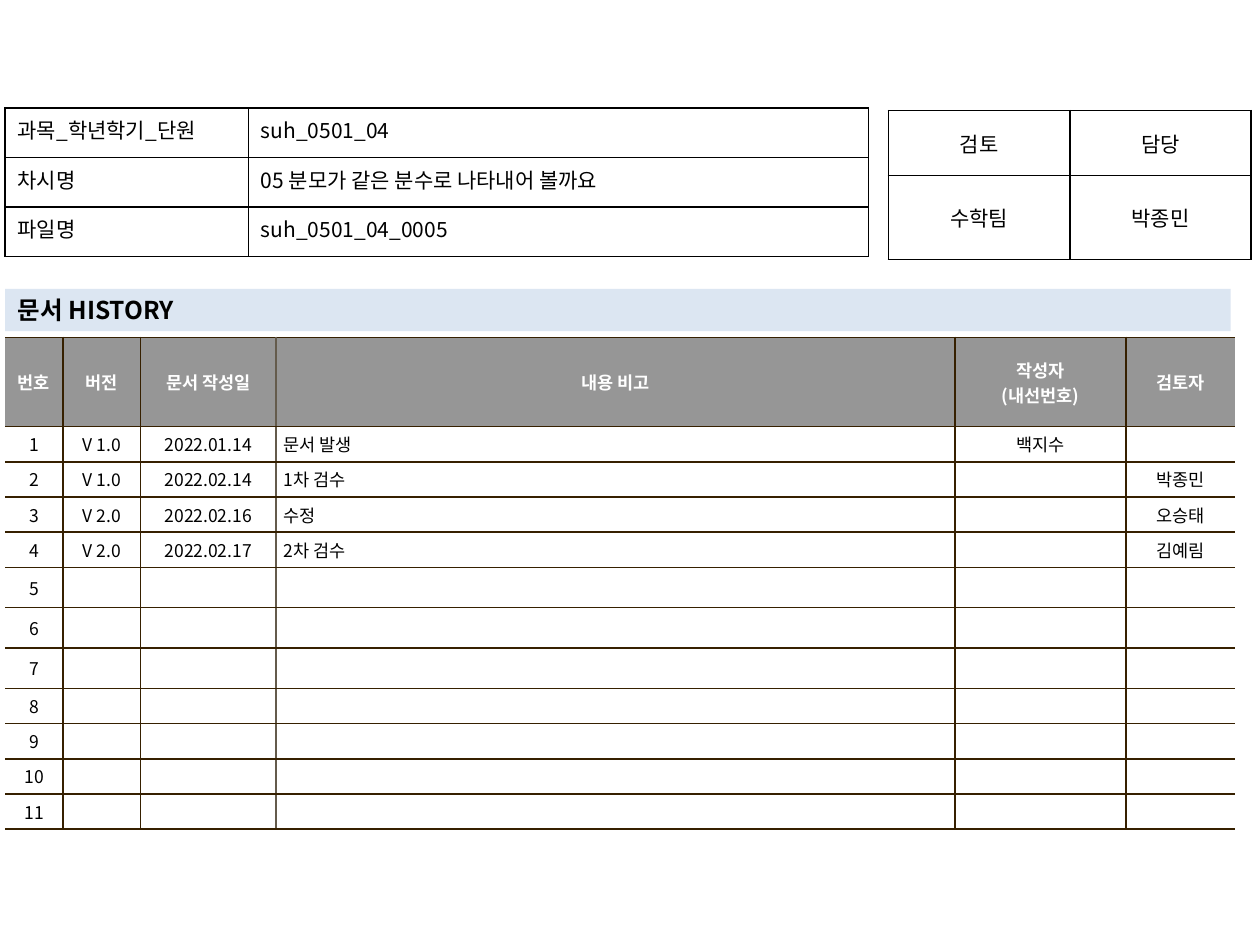
import dataclasses

import lxml.etree
import pptx
import pptx.dml.color
import pptx.enum.text
import pptx.oxml.ns
import pptx.util

Pt = pptx.util.Pt
ALIGN = pptx.enum.text.PP_ALIGN
ANCHOR = pptx.enum.text.MSO_ANCHOR
LEFT, MID, JUST = ALIGN.LEFT, ALIGN.CENTER, ALIGN.JUSTIFY


@dataclasses.dataclass(frozen=True)
class Theme:
    font: str = "Noto Sans CJK KR"
    black: str = "000000"
    white: str = "FFFFFF"
    band: str = "DCE6F2"
    head: str = "969696"
    brown: str = "362000"
    taupe: str = "645B4C"
    small: int = 10
    body: int = 12
    title: int = 14


def add_tag(parent, tag, **attrs):
    return lxml.etree.SubElement(parent, pptx.oxml.ns.qn(tag), **attrs)


def rgb(color):
    return pptx.dml.color.RGBColor.from_string(color)


class Page:
    """Draws on one slide in one theme; lengths are in points."""

    def __init__(self, slide, theme):
        self.slide = slide
        self.theme = theme

    def style(self, para, size, color, bold=False, align=LEFT):
        para.alignment = align
        font = para.font
        font.size, font.bold = Pt(size), bold
        font.color.rgb = rgb(color)
        font.name = self.theme.font
        add_tag(font._element, "a:ea", typeface=self.theme.font)
        if not para.runs:
            add_tag(para._p, "a:endParaRPr", sz=str(size * 100))

    def title(self, text, left, top, width, height):
        shape = self.slide.shapes.title
        shape.left, shape.top = Pt(left), Pt(top)
        shape.width, shape.height = Pt(width), Pt(height)
        shape.fill.solid()
        shape.fill.fore_color.rgb = rgb(self.theme.band)
        frame = shape.text_frame
        frame.text = text
        frame.auto_size = pptx.enum.text.MSO_AUTO_SIZE.NONE
        frame.vertical_anchor = ANCHOR.MIDDLE
        self.style(frame.paragraphs[0], self.theme.title, self.theme.black, True)

    def grid(self, left, top, cols, rows):
        frame = self.slide.shapes.add_table(
            len(rows), len(cols), Pt(left), Pt(top), Pt(sum(cols)), Pt(sum(rows)))
        table = frame.table
        table.first_row = table.horz_banding = False
        for col, width in zip(table.columns, cols):
            col.width = Pt(width)
        for row, height in zip(table.rows, rows):
            row.height = Pt(height)
        return table

    def cell(self, cell, text, size, color, edges, align=MID, bold=False,
             fill=None, anchor=ANCHOR.MIDDLE, pad=(7.2, 3.6)):
        """Fill one cell; edges are left, right, top, bottom colours, None for no line."""
        cell.text = text
        cell.vertical_anchor = anchor
        cell.margin_left = cell.margin_right = Pt(pad[0])
        cell.margin_top = cell.margin_bottom = Pt(pad[1])
        for para in cell.text_frame.paragraphs:
            self.style(para, size, color, bold, align)
        props = cell._tc.get_or_add_tcPr()
        for side, edge in zip("LRTB", edges):
            line = add_tag(props, f"a:ln{side}", w=str(Pt(1)))
            if edge:
                add_tag(add_tag(line, "a:solidFill"), "a:srgbClr", val=edge)
            else:
                add_tag(line, "a:noFill")
        if fill:
            cell.fill.solid()
            cell.fill.fore_color.rgb = rgb(fill)
        else:
            cell.fill.background()

    def form(self, left, top, cols, rows, texts, aligns, anchor):
        """Add a plain table with black lines around every cell."""
        table = self.grid(left, top, cols, rows)
        black = self.theme.black
        for r, line in enumerate(texts):
            for c, text in enumerate(line):
                self.cell(table.cell(r, c), text, self.theme.body, black,
                          [black] * 4, aligns[c], anchor=anchor)

    def log(self, left, top, cols, rows, texts):
        """Add the history table, open at its left and right sides."""
        theme = self.theme
        table = self.grid(left, top, cols, rows)
        walls = [None, theme.brown, theme.brown, theme.taupe,
                 theme.brown, theme.brown, None]
        for r, line in enumerate(texts):
            head = r == 0
            for c, text in enumerate(line):
                edges = [walls[c], walls[c + 1], theme.brown, theme.brown]
                self.cell(table.cell(r, c), text, theme.small,
                          theme.white if head else theme.black, edges,
                          LEFT if c == 3 and not head else MID, head,
                          theme.head if head else theme.white, pad=(4.3, 2.8))


HEADS = ["번호", "버전", "문서 작성일", "내용 비고", "작성자\n(내선번호)", "검토자"]
ITEMS = [
    ["V 1.0", "2022.01.14", "문서 발생", "백지수", ""],
    ["V 1.0", "2022.02.14", "1차 검수", "", "박종민"],
    ["V 2.0", "2022.02.16", "수정", "", "오승태"],
    ["V 2.0", "2022.02.17", "2차 검수", "", "김예림"],
] + [[""] * 5] * 7
FACTS = [
    ["과목_학년학기_단원", "suh_0501_04"],
    ["차시명", "05 분모가 같은 분수로 나타내어 볼까요"],
    ["파일명", "suh_0501_04_0005"],
]
STAFF = [["검토", "담당"], ["수학팀", "박종민"]]


def main():
    deck = pptx.Presentation()
    deck.slide_width, deck.slide_height = Pt(720), Pt(540)
    page = Page(deck.slides.add_slide(deck.slide_layouts[5]), Theme())
    edge = 2.9
    page.title("문서 HISTORY", edge, 165, 700.3, 24.3)
    page.log(edge, 192.8, [33.1, 44.2, 77.6, 388, 97.8, 62.4],
             [51] + [20.1] * 4 + [23.1] * 3 + [20.1] * 4,
             [HEADS] + [[str(n), *item] for n, item in enumerate(ITEMS, 1)])
    page.form(507.6, 63.2, [103.7] * 2, [37.2, 47.8], STAFF, [MID, MID], ANCHOR.MIDDLE)
    page.form(edge, 61.8, [139, 354.3], [28.3] * 3, FACTS, [JUST, LEFT], ANCHOR.TOP)
    deck.save("out.pptx")


if __name__ == "__main__":
    main()
